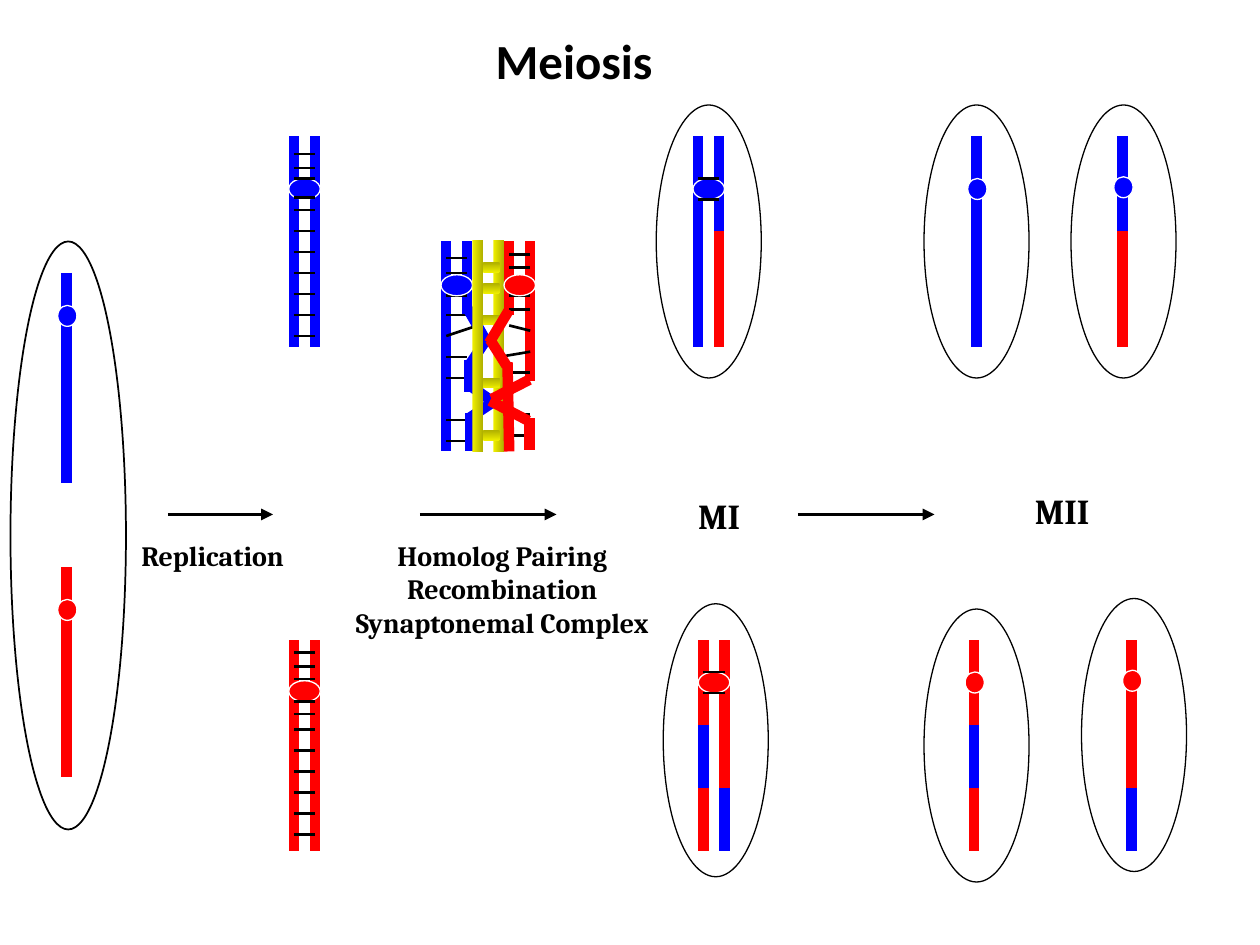
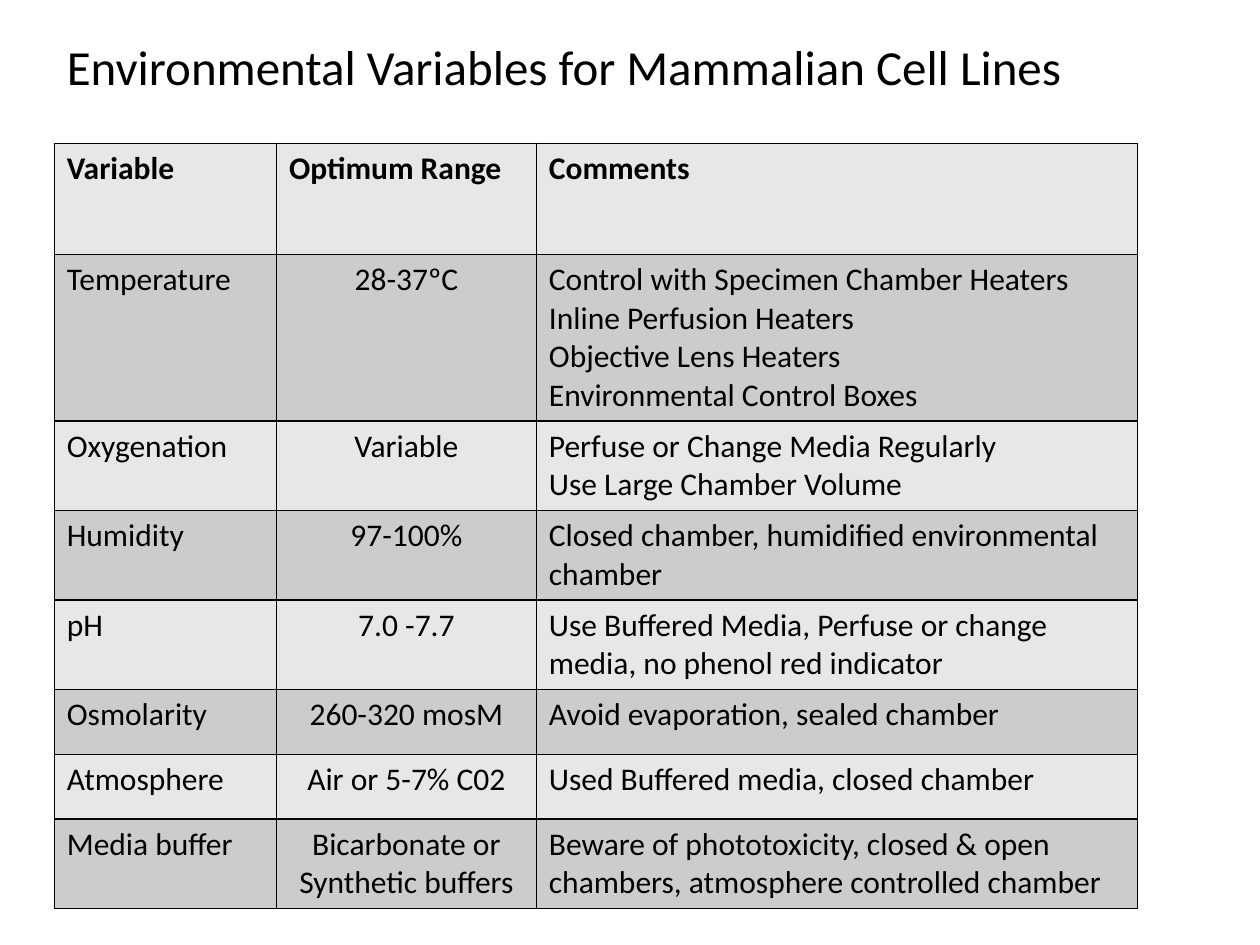
from lxml.etree import SubElement
from pptx import Presentation
from pptx.dml.color import RGBColor
from pptx.enum.shapes import MSO_CONNECTOR, MSO_SHAPE
from pptx.enum.text import MSO_ANCHOR, MSO_AUTO_SIZE, PP_ALIGN
from pptx.oxml.ns import qn
from pptx.util import Pt

BLUE = RGBColor(0x00, 0x00, 0xFF)
RED = RGBColor(0xFF, 0x00, 0x00)
BLACK = RGBColor(0x00, 0x00, 0x00)
WHITE = RGBColor(0xFF, 0xFF, 0xFF)
GOLD = RGBColor(0xF0, 0xF0, 0x00)
OLIVE = RGBColor(0xB0, 0xB0, 0x00)
PALE = RGBColor(0xE7, 0xE7, 0xE7)
GREY = RGBColor(0xCC, 0xCC, 0xCC)
SANS = "Calibri"
SERIF = "Cambria"
GAP = 12

ROWS = [
    (63.5, "Variable", "Optimum Range", "Comments"),
    (94, "Temperature", "28-37ºC",
     "Control with Specimen Chamber Heaters\nInline Perfusion Heaters\n"
     "Objective Lens Heaters\nEnvironmental Control Boxes"),
    (50.5, "Oxygenation", "Variable",
     "Perfuse or Change Media Regularly\nUse Large Chamber Volume"),
    (50.5, "Humidity", "97-100%",
     "Closed chamber, humidified environmental chamber"),
    (50.5, "pH", "7.0 -7.7",
     "Use Buffered Media, Perfuse or change media, no phenol red indicator"),
    (37, "Osmolarity", "260-320 mosM", "Avoid evaporation, sealed chamber"),
    (37, "Atmosphere", "Air or 5-7% C02", "Used Buffered media, closed chamber"),
    (50.5, "Media buffer", "Bicarbonate or Synthetic buffers",
     "Beware of phototoxicity, closed & open chambers, "
     "atmosphere controlled chamber"),
]


def text(frame, words, size=18, bold=False, face=SANS, align=PP_ALIGN.LEFT):
    """Write each line of words as a formatted paragraph."""
    for i, row in enumerate(words.split("\n")):
        para = frame.add_paragraph() if i else frame.paragraphs[0]
        para.alignment = align
        run = para.add_run()
        run.text = row
        font = run.font
        font.name, font.size, font.bold = face, Pt(size), bold
        font.color.rgb = BLACK


def title(slide, words, box, bold=False):
    """Place and format the title placeholder."""
    head = slide.shapes.title
    head.left, head.top, head.width, head.height = map(Pt, box)
    frame = head.text_frame
    frame.word_wrap = False
    frame.auto_size = MSO_AUTO_SIZE.NONE
    frame.vertical_anchor = MSO_ANCHOR.TOP
    text(frame, words, size=28, bold=bold)


def label(slide, words, box, size=16):
    """Add a bold serif caption."""
    frame = slide.shapes.add_textbox(*map(Pt, box)).text_frame
    frame.word_wrap = False
    text(frame, words, size=size, bold=True, face=SERIF, align=PP_ALIGN.CENTER)


def line(slide, x1, y1, x2, y2, hue=BLACK, width=1.5, arrow=False):
    """Draw a straight line, with an arrowhead if asked."""
    ends = map(Pt, (x1, y1, x2, y2))
    link = slide.shapes.add_connector(MSO_CONNECTOR.STRAIGHT, *ends)
    link.line.color.rgb = hue
    link.line.width = Pt(width)
    props = link._element.spPr
    if arrow:
        SubElement(props.find(qn("a:ln")), qn("a:tailEnd"), type="triangle")
    SubElement(props, qn("a:effectLst"))


def oval(slide, box, fill=None, edge=BLACK, width=0.75):
    """Draw an ellipse, filled or open."""
    shape = slide.shapes.add_shape(MSO_SHAPE.OVAL, *map(Pt, box))
    shape.shadow.inherit = False
    if fill is None:
        shape.fill.background()
    else:
        shape.fill.solid()
        shape.fill.fore_color.rgb = fill
    shape.line.color.rgb = edge
    shape.line.width = Pt(width)


def tube(slide, kind, box, angle):
    """Draw a shaded yellow bar."""
    shape = slide.shapes.add_shape(kind, *map(Pt, box))
    shape.shadow.inherit = False
    shape.line.fill.background()
    shape.fill.gradient()
    shape.fill.gradient_angle = angle
    for stop, hue in zip(shape.fill.gradient_stops, (GOLD, OLIVE)):
        stop.color.rgb = hue


def strand(slide, x, y, bands):
    """Stack coloured lengths of one chromatid downwards."""
    for hue, size in bands:
        line(slide, x, y, x, y + size, hue, 6)
        y += size


def knot(slide, x, y, hue, pair=False):
    """Draw a centromere on one strand or across a pair."""
    box = (x - 3, y, 18, 12) if pair else (x - 5, y, 11, 12)
    oval(slide, box, hue, WHITE)


def rungs(slide, x, y, steps):
    """Draw the ties between two sister strands."""
    for step in steps:
        line(slide, x, y + step, x + GAP, y + step)


def parent(slide, x, y):
    """Draw the starting cell with its two homologs."""
    for hue, top in ((BLUE, 18), (RED, 186)):
        strand(slide, x + 32, y + top, [(hue, 120)])
        knot(slide, x + 32, y + top + 18.5, hue)
    oval(slide, (x, y, 66, 336), width=1)


def sisters(slide, x, y, hue, mid, steps):
    """Draw a replicated chromosome."""
    for dx in (0, GAP):
        strand(slide, x + dx, y, [(hue, 120)])
    knot(slide, x, y + mid, hue, pair=True)
    rungs(slide, x, y, steps)


def pairing(slide, x, y):
    """Draw the paired homologs, their crossings and the complex."""
    tube(slide, MSO_SHAPE.RECTANGLE, (x + 30, y - 1, 6, 121.5), 0)
    for dy in (12, 24, 42, 78, 108):
        tube(slide, MSO_SHAPE.ROUNDED_RECTANGLE, (x + 24, y + dy, 9.5, 6), 90)
    halves = [
        (BLUE, 3, 120, 42, (9.5, 18, 31, 42, 66, 78, 102, 114),
         [(3, 54, 21, 48)],
         [(26.5, 58, 15, 38), (16, 68, 16, 86), (26, 56, 16, 71),
          (31, 92.5, 16, 82), (31, 91, 16, 101), (16.5, 98, 16.5, 120)]),
        (RED, 39, 42, 80, (7.5, 15, 31, 39, 75, 99, 111),
         [(39, 48, 51, 51), (33, 66, 51, 63)],
         [(29, 90, 50.5, 79), (27.5, 58, 39, 39), (28, 56, 37.5, 71),
          (38, 69, 39, 120), (50.5, 101, 50.5, 119), (28, 91, 50, 102.5)]),
    ]
    for hue, dx, left, right, steps, ties, bends in halves:
        strand(slide, x + dx, y, [(hue, left)])
        strand(slide, x + dx + GAP, y, [(hue, right)])
        rungs(slide, x + dx, y, steps)
        for a, b, c, d in ties:
            line(slide, x + a, y + b, x + c, y + d)
        for a, b, c, d in bends:
            line(slide, x + a, y + b, x + c, y + d, hue, 6)
        knot(slide, x + dx, y + 19, hue, pair=True)
    tube(slide, MSO_SHAPE.RECTANGLE, (x + 18, y - 1, 6, 121.5), 0)


def cell(slide, x, y, dx, top, mid, strands):
    """Draw a daughter cell with one or two recombined strands."""
    pair = len(strands) == 2
    for i, bands in enumerate(strands):
        strand(slide, x + dx + i * GAP, y + top, bands)
    knot(slide, x + dx, y + top + mid, strands[0][0][0], pair)
    if pair:
        rungs(slide, x + dx, y + top, (mid, mid + 12))
    oval(slide, (x, y, 60, 156))


def meiosis(slide):
    """Lay out the stages of meiosis from left to right."""
    title(slide, "Meiosis", (276, 14, 105, 41), bold=True)
    parent(slide, 6, 138)
    sisters(slide, 168, 78, BLUE, 24, [10, 18, 24, 35, *range(42, 115, 12)])
    sisters(slide, 168, 366, RED, 23, [7, 15, 22, 35, 42, *range(51, 112, 12)])
    pairing(slide, 252, 138)

    whole = [(BLUE, 120)]
    single = [(BLUE, 54), (RED, 66)]
    double = [(RED, 48), (BLUE, 36), (RED, 36)]
    tip = [(RED, 84), (BLUE, 36)]
    cell(slide, 375, 60, 24, 18, 24, [whole, single])
    cell(slide, 379, 345, 23, 21, 18, [double, tip])
    cell(slide, 528, 60, 30, 18, 24, [whole])
    cell(slide, 612, 60, 29.5, 18, 23, [single])
    cell(slide, 528, 348, 28.5, 18, 18, [double])
    cell(slide, 618, 342, 28.5, 24, 17, [tip])

    for start, end in ((96, 156), (240, 318), (456, 534)):
        line(slide, start, 294, end, 294, width=2.25, arrow=True)
    label(slide, "Replication", (72, 304, 99, 27))
    label(slide, "Homolog Pairing\nRecombination\nSynaptonemal Complex",
          (191, 304, 192, 66))
    label(slide, "MI", (390, 279, 42, 31), size=20)
    label(slide, "MII", (582, 276, 50, 31), size=20)


def border(cell):
    """Give a table cell a thin black edge on all sides."""
    props = cell._tc.get_or_add_tcPr()
    for side in ("a:lnL", "a:lnR", "a:lnT", "a:lnB"):
        edge = SubElement(props, qn(side), w=str(Pt(1)))
        fill = SubElement(edge, qn("a:solidFill"))
        SubElement(fill, qn("a:srgbClr"), val=str(BLACK))


def grid(slide, x, y, widths):
    """Build the table of culture variables."""
    high = sum(row[0] for row in ROWS)
    box = map(Pt, (x, y, sum(widths), high))
    table = slide.shapes.add_table(len(ROWS), len(widths), *box).table
    for col, width in zip(table.columns, widths):
        col.width = Pt(width)
    for r, (size, *words) in enumerate(ROWS):
        table.rows[r].height = Pt(size)
        for c, word in enumerate(words):
            spot = table.cell(r, c)
            border(spot)
            spot.fill.solid()
            spot.fill.fore_color.rgb = GREY if r % 2 else PALE
            mid = r > 0 and c == 1
            text(spot.text_frame, word, bold=r == 0,
                 align=PP_ALIGN.CENTER if mid else PP_ALIGN.LEFT)


def culture(slide):
    """Lay out the title and table of culture variables."""
    title(slide, "Environmental Variables for Mammalian Cell Lines",
          (31, 17, 593, 41))
    grid(slide, 31, 82, (127, 148.5, 343.5))


def main():
    """Build both slides and save them."""
    deck = Presentation()
    deck.slide_width, deck.slide_height = Pt(720), Pt(540)
    for build in (meiosis, culture):
        build(deck.slides.add_slide(deck.slide_layouts[5]))
    deck.save("out.pptx")


if __name__ == "__main__":
    main()
